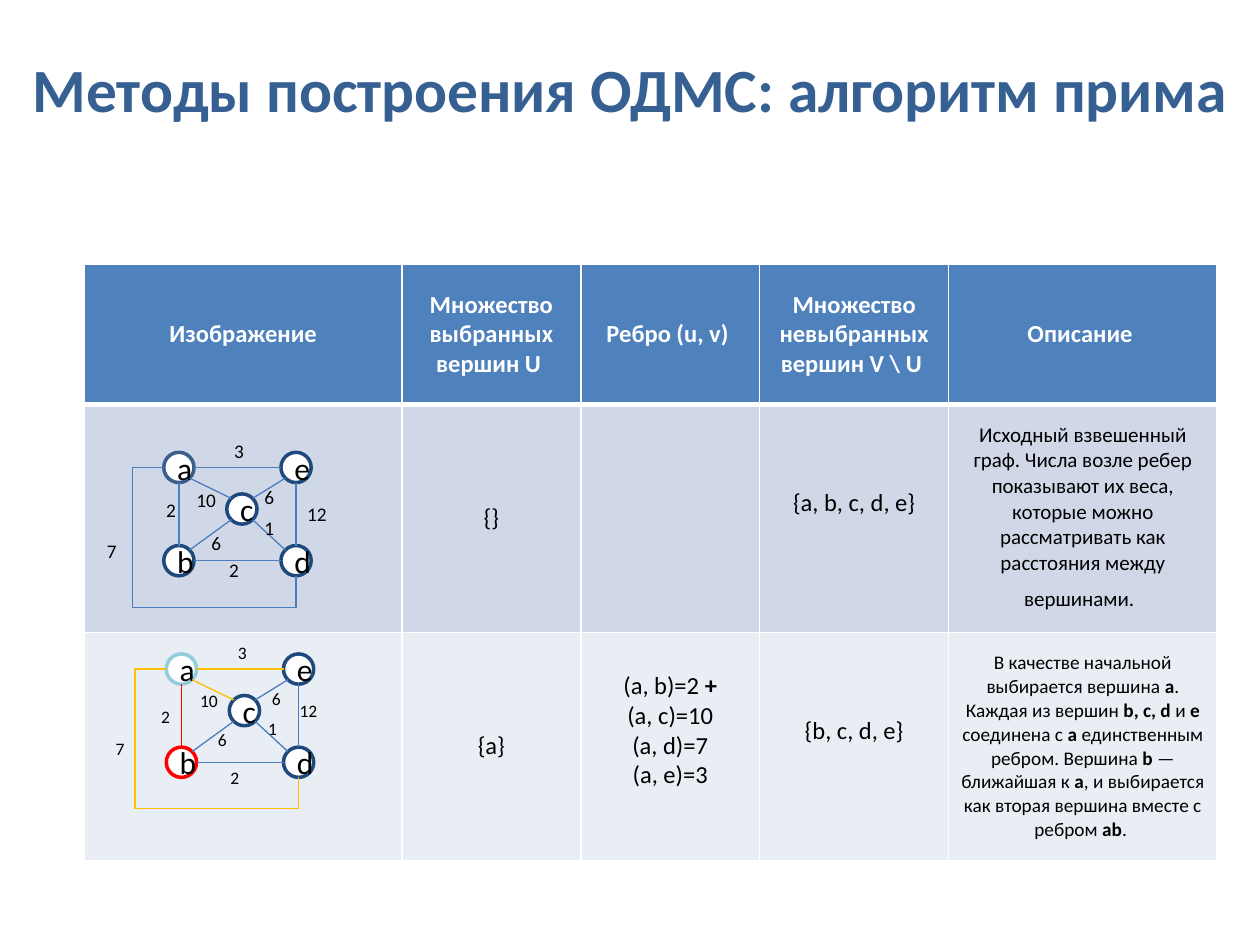
import math
import pptx
import pptx.util
import pptx.dml.color
import pptx.enum.shapes
import pptx.enum.text
import pptx.oxml
import pptx.oxml.ns
from lxml import etree

Inches, Pt = pptx.util.Inches, pptx.util.Pt
qn = pptx.oxml.ns.qn
MIDDLE = pptx.enum.text.MSO_ANCHOR.MIDDLE
CENTER = pptx.enum.text.PP_ALIGN.CENTER
KINDS = pptx.enum.shapes.MSO_CONNECTOR

# ---- Content ----
FONT = "Calibri"
TITLE = "Методы построения ОДМС: алгоритм прима"
HEADER = ["Изображение", "Множество выбранных вершин U ", "Ребро (u, v) ",
          "Множество невыбранных вершин V \\ U ", "Описание "]
# Bold words stand between ** marks
ROWS = [
    ["", "{}", "", "{a, b, c, d, e}",
     "Исходный взвешенный граф. Числа возле ребер показывают их веса, которые "
     "можно рассматривать как расстояния между вершинами."],
    ["", "{a}", "(a, b)=2 **+**\n(a, c)=10\n(a, d)=7\n(a, e)=3", "{b, c, d, e}",
     "В качестве начальной выбирается вершина **a**. Каждая из вершин **b, c, d** и "
     "**e **соединена с **a** единственным ребром. Вершина **b** — ближайшая к **a**, "
     "и выбирается как вторая вершина вместе с ребром **ab**. "],
]
DESCRIPTION_SIZES = [12, 11]
RAISED = {(1, 3), (2, 2), (2, 3)}          # cells whose text sits above the middle
COLUMNS = [2.52, 1.42, 1.42, 1.5, 2.13]
HEIGHTS = [1.11, 1.81, 1.81]
FILLS = ["4F81BD", "D0D8E8", "E9EDF4"]

# Vertex centres, measured from vertex a
VERTICES = {"b": (0, 0.74), "e": (0.93, 0), "c": (0.5, 0.33),
            "d": (0.93, 0.74), "a": (0, 0)}
EDGES = ["cd", "ab", "bd", "ae", "de", "ac", "bc", "ce"]
WEIGHTS = {"ae": 3, "ad": 7, "ab": 2, "bd": 2, "cd": 1,
           "ac": 10, "bc": 6, "ce": 6, "de": 12}
GRAPHS = [
    {"origin": (1.42, 3.71), "size": 11, "vertex": {"a": "3A5F8C"}, "edge": {},
     "labels": {"ae": (0.48, -0.13), "ad": (-0.53, 0.66), "ab": (-0.06, 0.34),
                "bd": (0.44, 0.81), "cd": (0.72, 0.48), "ac": (0.22, 0.26),
                "bc": (0.3, 0.6), "ce": (0.72, 0.23), "de": (1.1, 0.37)}},
    {"origin": (1.44, 5.31), "size": 10, "vertex": {"a": "93CDDD", "b": "FF0000"},
     "edge": {"ab": "FF0000", "ac": "FFC000", "ad": "FFC000", "ae": "FFC000"},
     "labels": {"ae": (0.49, -0.13), "ad": (-0.48, 0.63), "ab": (-0.12, 0.38),
                "bd": (0.43, 0.86), "cd": (0.73, 0.47), "ac": (0.23, 0.25),
                "bc": (0.33, 0.56), "ce": (0.76, 0.23), "de": (1.02, 0.33)}},
]
RADIUS, DETOUR = 0.12, 0.25


# ---- Helpers ----
def rgb(color):
    return pptx.dml.color.RGBColor.from_string(color)


def write(tf, text, size, color="000000", bold=False, align=CENTER):
    for i, line in enumerate(text.split("\n")):
        p = tf.paragraphs[0] if i == 0 else tf.add_paragraph()
        p.alignment = align
        p.font.name, p.font.size, p.font.bold = FONT, Pt(size), bold
        p.font.color.rgb = rgb(color)
        for j, part in enumerate(line.split("**")):
            if part:
                r = p.add_run()
                r.text = part
                if j % 2:
                    r.font.bold = True


def add_text(s, x, y, w, h, text, size, wrap, **style):
    tf = s.shapes.add_textbox(*map(Inches, (x, y, w, h))).text_frame
    tf.word_wrap = wrap
    tf.vertical_anchor = MIDDLE
    write(tf, text, size, **style)


def set_borders(cell, top, bottom):
    tc_pr = cell._tc.get_or_add_tcPr()
    for side, width in zip("LRTB", (1, 1, top, bottom)):
        ln = etree.SubElement(tc_pr, qn(f"a:ln{side}"), w=str(Pt(width)))
        fill = etree.SubElement(ln, qn("a:solidFill"))
        etree.SubElement(fill, qn("a:srgbClr"), val="FFFFFF")


def add_line(s, kind, start, end, color):
    line = s.shapes.add_connector(kind, *map(Inches, (*start, *end)))
    line.line.color.rgb = rgb(color)
    line.line.width = Pt(0.75)
    etree.SubElement(line._element.spPr, qn("a:effectLst"))
    return line


def add_detour(s, start, end, color):
    """Elbow that leaves to the left and comes in from below."""
    line = add_line(s, KINDS.ELBOW, start, end, color)
    geom = line._element.spPr.find(qn("a:prstGeom"))
    geom.set("prst", "bentConnector4")
    guides = geom.find(qn("a:avLst"))
    if guides is None:
        guides = etree.SubElement(geom, qn("a:avLst"))
    shares = (-DETOUR / (end[0] - start[0]), 1 + DETOUR / (end[1] - start[1]))
    for i, share in enumerate(shares, 1):
        etree.SubElement(guides, qn("a:gd"), name=f"adj{i}",
                         fmla=f"val {round(share * 100000)}")


def sign(v):
    return (v > 0) - (v < 0)


# ---- Parts ----
def add_steps_table(s):
    table = s.shapes.add_table(
        len(HEIGHTS), len(COLUMNS), Inches(0.67), Inches(2.1),
        Inches(sum(COLUMNS)), Inches(sum(HEIGHTS))).table
    for column, width in zip(table.columns, COLUMNS):
        column.width = Inches(width)
    for row, height in zip(table.rows, HEIGHTS):
        row.height = Inches(height)
    for i, texts in enumerate([HEADER] + ROWS):
        for j, text in enumerate(texts):
            cell = table.cell(i, j)
            set_borders(cell, 3 if i == 1 else 1, 3 if i == 0 else 1)
            cell.fill.solid()
            cell.fill.fore_color.rgb = rgb(FILLS[i])
            cell.vertical_anchor = MIDDLE
            if (i, j) in RAISED:
                cell.margin_bottom = Inches(0.3)
            size = DESCRIPTION_SIZES[i - 1] if i and j == 4 else 14
            write(cell.text_frame, text, size, "000000" if i else "FFFFFF", i == 0)
    # A larger closing space opens up the last line of the first description
    r = table.cell(1, 4).text_frame.paragraphs[0].add_run()
    r.text, r.font.size = " ", Pt(18)


def add_graph(s, graph):
    ox, oy = graph["origin"]
    centers = {name: (ox + x, oy + y) for name, (x, y) in VERTICES.items()}

    def edge_color(edge):
        return graph["edge"].get(edge, "4B7EBC")

    # Vertices
    for name, (x, y) in centers.items():
        sp = s.shapes.add_shape(
            pptx.enum.shapes.MSO_SHAPE.OVAL,
            *map(Inches, (x - RADIUS, y - RADIUS, 2 * RADIUS, 2 * RADIUS)))
        sp.shadow.inherit = False
        sp.fill.solid()
        sp.fill.fore_color.rgb = rgb("FFFFFF")
        sp.line.color.rgb = rgb(graph["vertex"].get(name, "1F497D"))
        sp.line.width = Pt(2)
        write(sp.text_frame, name, 18)

    # Edges join the circles at their sides or diagonal points
    for edge in EDGES:
        (x1, y1), (x2, y2) = (centers[name] for name in edge)
        sx, sy = sign(round(x2 - x1, 2)), sign(round(y2 - y1, 2))
        dx, dy = (RADIUS * v / math.hypot(sx, sy) for v in (sx, sy))
        add_line(s, KINDS.STRAIGHT, (x1 + dx, y1 + dy), (x2 - dx, y2 - dy),
                 edge_color(edge))
    dx, dy = centers["d"]
    add_detour(s, (ox - RADIUS, oy), (dx, dy + RADIUS), edge_color("ad"))

    # Weights
    for edge, (x, y) in graph["labels"].items():
        text = str(WEIGHTS[edge])
        w, h = 0.2 + 0.08 * len(text), 0.28
        add_text(s, ox + x - w / 2, oy + y - h / 2, w, h, text, graph["size"],
                 False, align=pptx.enum.text.PP_ALIGN.LEFT)


def main():
    prs = pptx.Presentation()
    prs.slide_width, prs.slide_height = Inches(10), Inches(7.5)
    s = prs.slides.add_slide(prs.slide_layouts[6])
    add_steps_table(s)
    for graph in GRAPHS:
        add_graph(s, graph)
    add_text(s, 0, 0, 10, 1.4, TITLE, 35.1, True, color="376092", bold=True)
    prs.save("out.pptx")


if __name__ == "__main__":
    main()
